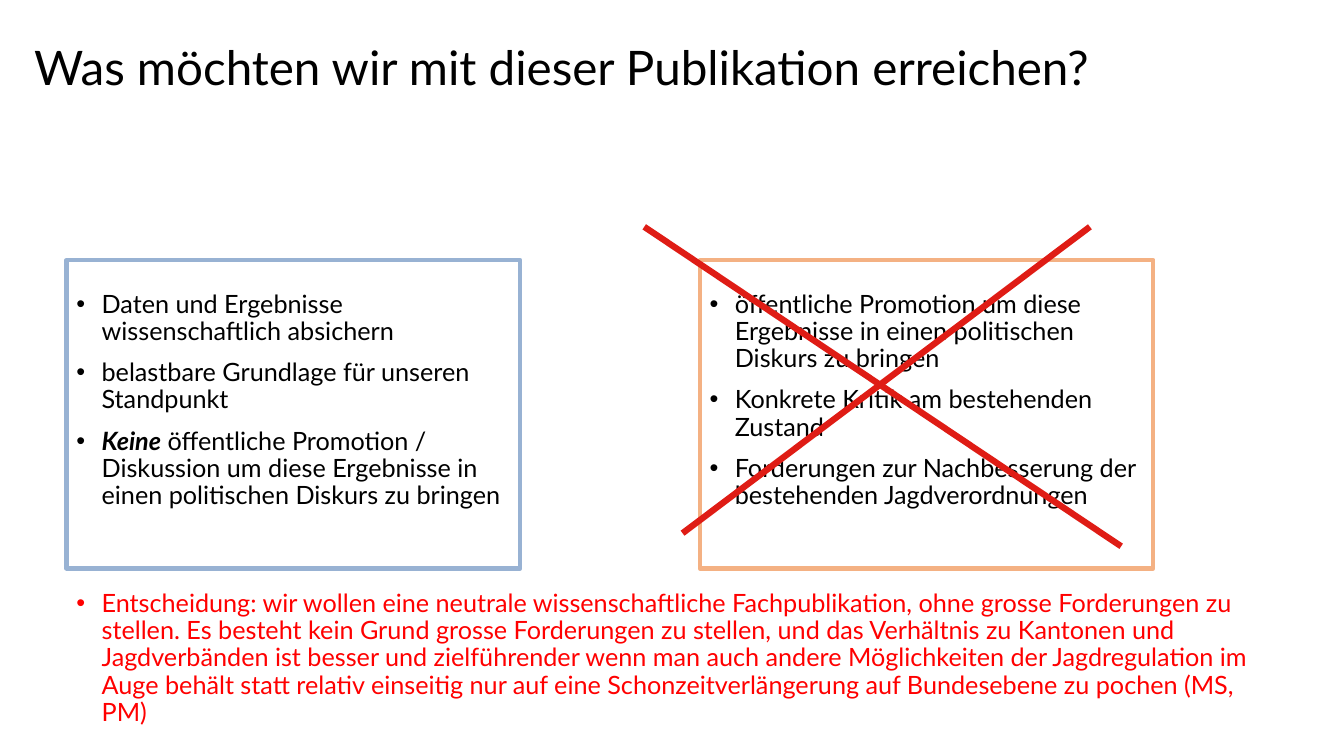
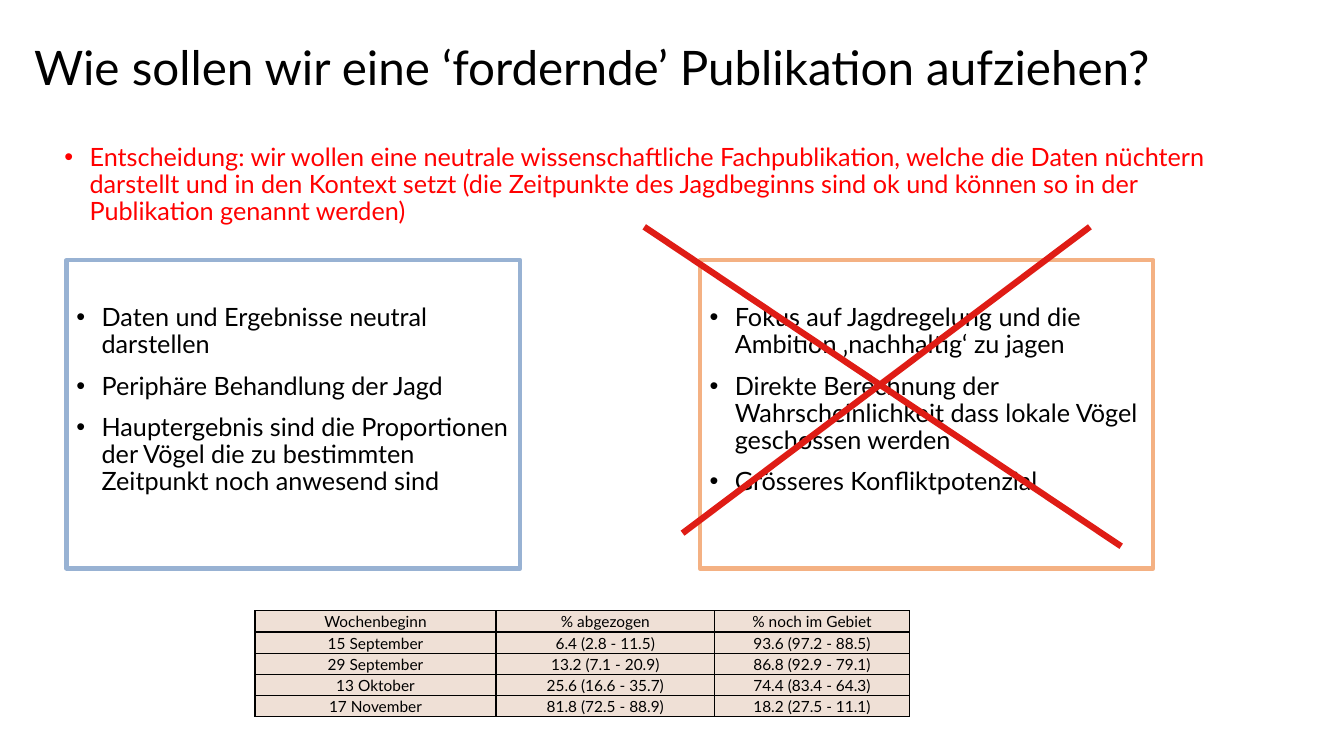
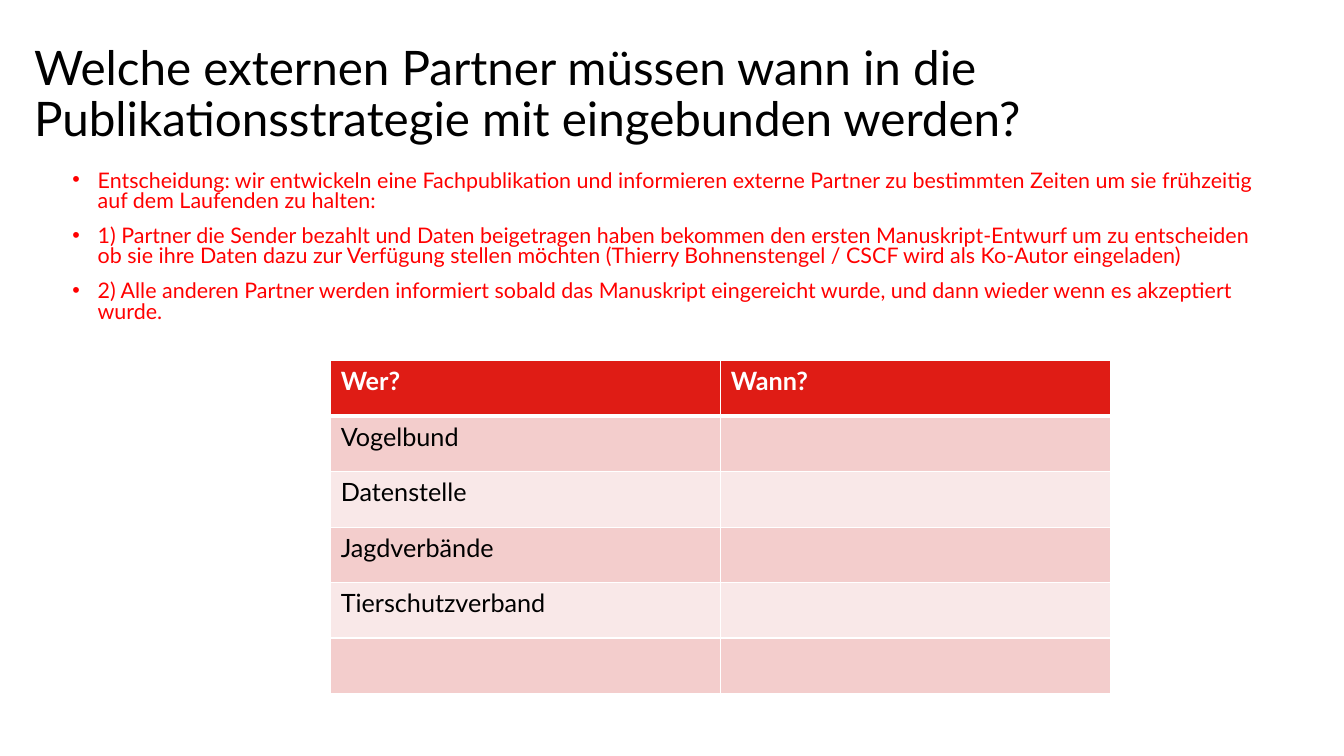
from dataclasses import dataclass

from pptx import Presentation
from pptx.dml.color import RGBColor
from pptx.enum.shapes import MSO_CONNECTOR, MSO_SHAPE
from pptx.enum.text import MSO_ANCHOR, PP_ALIGN
from pptx.oxml.ns import qn
from pptx.util import Emu, Pt
from lxml.etree import SubElement

EMU_PER_PX = 9144  # 100 px to the inch


@dataclass(frozen=True)
class Theme:
    font: str = "Lato"
    black: str = "000000"
    white: str = "FFFFFF"
    decision: str = "FF0000"
    accent: str = "DF1C15"
    chosen_frame: str = "98B2D3"
    rejected_frame: str = "F4B183"
    band_dark: str = "F3CDCC"
    band_light: str = "F9E8E8"
    data_fill: str = "EFE0D6"
    title_size: float = 34
    body_size: float = 18
    dense_size: float = 15.3
    data_size: float = 11


THEME = Theme()
CARD_TOP, CARD_WIDTH, CARD_HEIGHT = 258, 450, 306
CHOSEN_LEFT, REJECTED_LEFT = 66, 694
DECISION_WIDTH, DECISION_HEIGHT = 1191, 165
INSET_TOP, CARD_INSET_BOTTOM = 19, 46
CROSS_STROKES = ((677, 529, 1081, 225), (639, 225, 1112, 542))


def px(value):
    return Emu(value * EMU_PER_PX)


def color(value):
    return RGBColor.from_string(value)


def style_span(span, size, ink, bold=False, italic=False):
    font = span.font
    font.name, font.size = THEME.font, Pt(size)
    font.color.rgb = color(ink)
    font.bold, font.italic = bold, italic


def add_title(page, text):
    box = page.shapes.add_textbox(px(24), px(39), px(1177), px(145))
    box.text_frame.word_wrap = True
    box.text_frame.text = text
    para = box.text_frame.paragraphs[0]
    para.line_spacing = 0.9
    style_span(para.runs[0], THEME.title_size, THEME.black)


def add_bullet(para):
    properties = para._p.get_or_add_pPr()
    properties.set("marL", str(px(25)))
    properties.set("indent", str(-px(25)))
    SubElement(properties, qn("a:buFont"), typeface="Arial")
    SubElement(properties, qn("a:buChar"), char="•")


def fill_bullets(box, items, size, ink, spacing=0.9):
    """Write bulleted items; text between asterisks is bold italic."""
    frame = box.text_frame
    frame.word_wrap = True
    frame.vertical_anchor = MSO_ANCHOR.MIDDLE
    frame.margin_top = px(INSET_TOP)
    for index, item in enumerate(items):
        para = frame.add_paragraph() if index else frame.paragraphs[0]
        add_bullet(para)
        para.alignment = PP_ALIGN.LEFT
        para.line_spacing = spacing
        para.space_before = Pt(10 if index else 0)
        for part, text in enumerate(item.split("*")):
            if text:
                span = para.add_run()
                span.text = text
                emphasis = part % 2 == 1
                style_span(span, size, ink, emphasis, emphasis)


def add_card(page, left, frame_color, items):
    card = page.shapes.add_shape(MSO_SHAPE.RECTANGLE, px(left), px(CARD_TOP),
                                 px(CARD_WIDTH), px(CARD_HEIGHT))
    card.shadow.inherit = False
    card.fill.background()
    card.line.color.rgb = color(frame_color)
    card.line.width = Pt(3)
    fill_bullets(card, items, THEME.body_size, THEME.black)
    card.text_frame.margin_bottom = px(CARD_INSET_BOTTOM)


def add_decision(page, left, top, items, size=THEME.body_size, spacing=0.9):
    box = page.shapes.add_textbox(px(left), px(top), px(DECISION_WIDTH), px(DECISION_HEIGHT))
    fill_bullets(box, items, size, THEME.decision, spacing)


def add_cross(page):
    for ends in CROSS_STROKES:
        stroke = page.shapes.add_connector(MSO_CONNECTOR.STRAIGHT, *map(px, ends))
        stroke.line.color.rgb = color(THEME.accent)
        stroke.line.width = Pt(4.5)
        SubElement(stroke._element.spPr, qn("a:effectLst"))


def add_options(page, chosen, rejected):
    """Put the chosen option beside the crossed-out one."""
    add_card(page, CHOSEN_LEFT, THEME.chosen_frame, chosen)
    add_card(page, REJECTED_LEFT, THEME.rejected_frame, rejected)
    add_cross(page)


def set_borders(cell, ink, top=1, bottom=1):
    properties = cell._tc.get_or_add_tcPr()
    for side, width in (("L", 1), ("R", 1), ("T", top), ("B", bottom)):
        line = SubElement(properties, qn(f"a:ln{side}"), w=str(Pt(width)))
        SubElement(SubElement(line, qn("a:solidFill")), qn("a:srgbClr"), val=ink)


def add_grid(page, left, top, widths, row_height, rows, style_cell):
    table = page.shapes.add_table(len(rows), len(widths), px(left), px(top),
                                  px(sum(widths)), px(row_height * len(rows))).table
    table.first_row = table.horz_banding = False
    for column, width in zip(table.columns, widths):
        column.width = px(width)
    for row_index, row in enumerate(rows):
        table.rows[row_index].height = px(row_height)
        for column_index, text in enumerate(row):
            cell = table.cell(row_index, column_index)
            cell.text = text
            style_cell(cell, row_index)


def paint_cell(cell, fill, size, ink, bold=False):
    cell.fill.solid()
    cell.fill.fore_color.rgb = color(fill)
    for span in cell.text_frame.paragraphs[0].runs:
        style_span(span, size, ink, bold)


def style_data_cell(cell, row_index):
    set_borders(cell, THEME.black)
    paint_cell(cell, THEME.data_fill, THEME.data_size, THEME.black)
    cell.vertical_anchor = MSO_ANCHOR.MIDDLE
    cell.margin_left = cell.margin_right = cell.margin_top = px(1)
    cell.margin_bottom = 0
    cell.text_frame.paragraphs[0].alignment = PP_ALIGN.CENTER


def style_partner_cell(cell, row_index):
    header = row_index == 0
    set_borders(cell, THEME.white, top=3 if row_index == 1 else 1, bottom=3 if header else 1)
    band = THEME.band_dark if row_index % 2 else THEME.band_light
    paint_cell(cell, THEME.accent if header else band, THEME.body_size,
               THEME.white if header else THEME.black, header)


def build_goals(page):
    add_title(page, "Was möchten wir mit dieser Publikation erreichen?")
    add_decision(page, 66, 564, [
        "Entscheidung: wir wollen eine neutrale wissenschaftliche Fachpublikation, ohne grosse "
        "Forderungen zu stellen. Es besteht kein Grund grosse Forderungen zu stellen, und das "
        "Verhältnis zu Kantonen und Jagdverbänden ist besser und zielführender wenn man auch "
        "andere Möglichkeiten der Jagdregulation im Auge behält statt relativ einseitig nur auf "
        "eine Schonzeitverlängerung auf Bundesebene zu pochen (MS, PM)",
    ])
    add_options(page, [
        "Daten und Ergebnisse wissenschaftlich absichern",
        "belastbare Grundlage für unseren Standpunkt",
        "*Keine* öffentliche Promotion / Diskussion um diese Ergebnisse in einen politischen "
        "Diskurs zu bringen",
    ], [
        "öffentliche Promotion um diese Ergebnisse in einen politischen Diskurs zu bringen",
        "Konkrete Kritik am bestehenden Zustand",
        "Forderungen zur Nachbesserung der bestehenden Jagdverordnungen",
    ])


def build_approach(page):
    add_title(page, "Wie sollen wir eine ‘fordernde’ Publikation aufziehen?")
    add_options(page, [
        "Daten und Ergebnisse neutral darstellen",
        "Periphäre Behandlung der Jagd",
        "Hauptergebnis sind die Proportionen der Vögel die zu bestimmten Zeitpunkt noch "
        "anwesend sind",
    ], [
        "Fokus auf Jagdregelung und die Ambition ‚nachhaltig‘ zu jagen",
        "Direkte Berechnung der Wahrscheinlichkeit dass lokale Vögel geschossen werden",
        "Grösseres Konfliktpotenzial",
    ])
    add_grid(page, 253, 606, (239, 217, 193), 21, (
        ("Wochenbeginn", "% abgezogen", "% noch im Gebiet"),
        ("15 September", "6.4 (2.8 - 11.5)", "93.6 (97.2 - 88.5)"),
        ("29 September", "13.2 (7.1 - 20.9)", "86.8 (92.9 - 79.1)"),
        ("13 Oktober", "25.6 (16.6 - 35.7)", "74.4 (83.4 - 64.3)"),
        ("17 November", "81.8 (72.5 - 88.9)", "18.2 (27.5 - 11.1)"),
    ), style_data_cell)
    add_decision(page, 54, 94, [
        "Entscheidung: wir wollen eine neutrale wissenschaftliche Fachpublikation, welche die "
        "Daten nüchtern darstellt und in den Kontext setzt (die Zeitpunkte des Jagdbeginns sind "
        "ok und können so in der Publikation genannt werden)",
    ])


def build_partners(page):
    add_title(page, "Welche externen Partner müssen wann in die Publikationsstrategie mit "
                    "eingebunden werden?")
    add_grid(page, 328, 358, (387, 387), 55, (
        ("Wer?", "Wann?"),
        ("Vogelbund", ""),
        ("Datenstelle", ""),
        ("Jagdverbände", ""),
        ("Tierschutzverband", ""),
        ("", ""),
    ), style_partner_cell)
    add_decision(page, 62, 156, [
        "Entscheidung: wir entwickeln eine Fachpublikation und informieren externe Partner zu "
        "bestimmten Zeiten um sie frühzeitig auf dem Laufenden zu halten:",
        "1) Partner die Sender bezahlt und Daten beigetragen haben bekommen den ersten "
        "Manuskript-Entwurf um zu entscheiden ob sie ihre Daten dazu zur Verfügung stellen "
        "möchten (Thierry Bohnenstengel / CSCF wird als Ko-Autor eingeladen)",
        "2) Alle anderen Partner werden informiert sobald das Manuskript eingereicht wurde, "
        "und dann wieder wenn es akzeptiert wurde.",
    ], THEME.dense_size, 0.8)


def main():
    deck = Presentation()
    deck.slide_width, deck.slide_height = px(1333), px(750)
    for build in (build_goals, build_approach, build_partners):
        build(deck.slides.add_slide(deck.slide_layouts[6]))
    deck.save("out.pptx")


if __name__ == "__main__":
    main()
